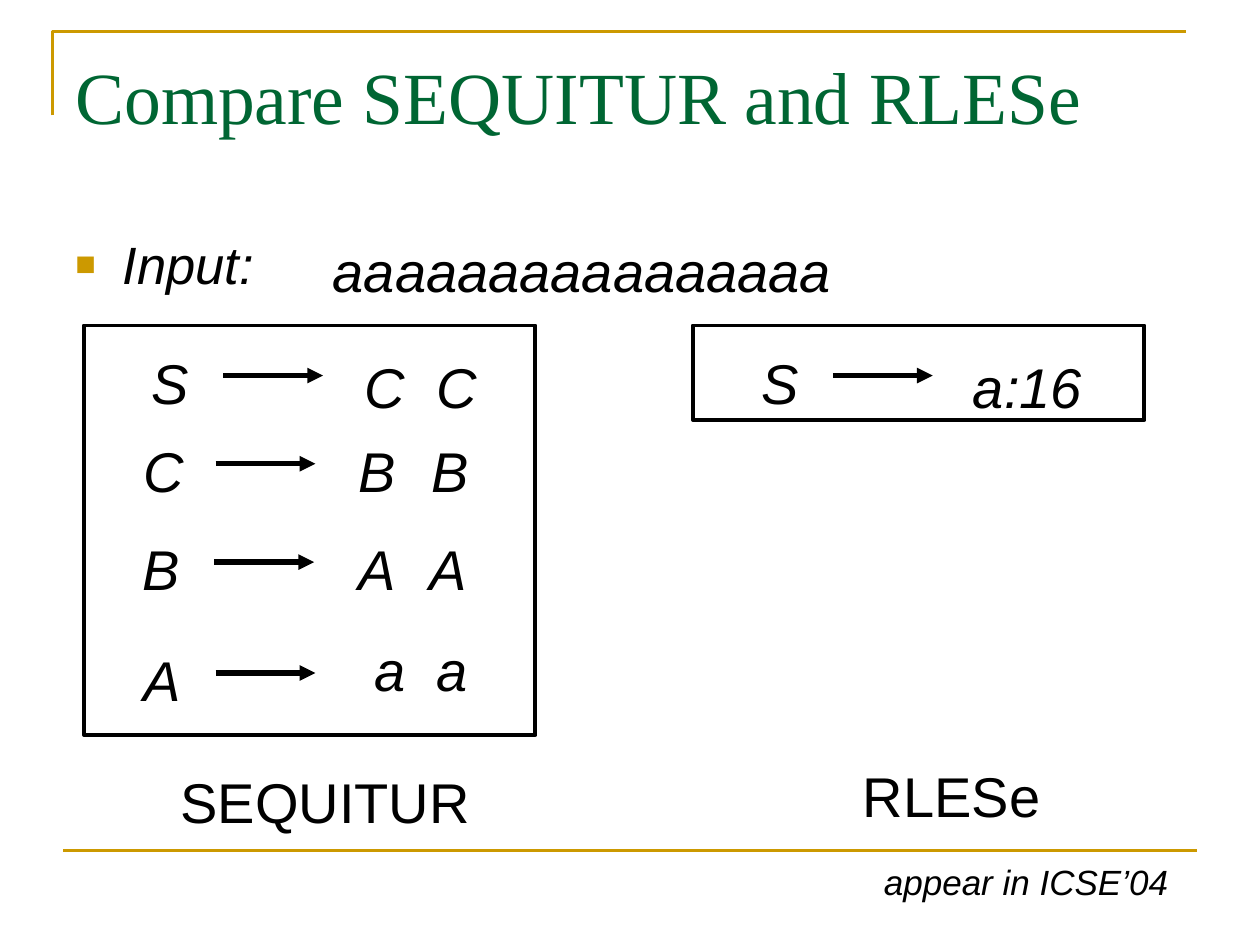
"""Builds a slide that compares the SEQUITUR and RLESe grammars of one input."""
from lxml.etree import SubElement
from pptx import Presentation
from pptx.dml.color import RGBColor
from pptx.enum.shapes import MSO_CONNECTOR as Connector, MSO_SHAPE as Shape
from pptx.oxml.ns import qn
from pptx.util import Pt

GOLD = RGBColor(0xCC, 0x99, 0x00)
GREEN = RGBColor(0x00, 0x66, 0x33)
BLACK = RGBColor(0x00, 0x00, 0x00)

SYMBOL_INSET = 16
SYMBOL_WIDTH = 48
LINE_HEIGHT = 46

SEQUITUR_RULES = [
    ("S", 70.6, 192.2, "C", (192.2, 233.2), 194.4),
    ("C", 66.2, 242.6, "B", (188.6, 230.4), 242.6),
    ("B", 65.5, 298.8, "A", (188.6, 229.7), 298.8),
    ("A", 66.2, 362.2, "a", (198, 233.6), 356.4),
]


def add_text(slide, text, left, top, width, height=LINE_HEIGHT, *, size=32,
             font="Arial", color=BLACK, italic=False, inset=7.2, bullet=None):
    box = slide.shapes.add_textbox(Pt(left), Pt(top), Pt(width), Pt(height))
    frame = box.text_frame
    frame.word_wrap = True
    frame.margin_left = Pt(inset)
    frame.margin_top = Pt(3.6 + size * 0.1)
    paragraph = frame.paragraphs[0]
    paragraph.text = text
    if bullet:
        add_bullet(paragraph, bullet)
    paragraph.font.size = Pt(size)
    paragraph.font.name = font
    paragraph.font.italic = italic
    paragraph.font.color.rgb = color


def add_bullet(paragraph, mark):
    properties = paragraph._p.get_or_add_pPr()
    properties.set("marL", str(Pt(27)))
    properties.set("indent", str(-Pt(27)))
    tint = SubElement(properties, qn("a:buClr"))
    SubElement(tint, qn("a:srgbClr"), val=str(GOLD))
    SubElement(properties, qn("a:buSzPct"), val="65000")
    SubElement(properties, qn("a:buFont"), typeface="Arial")
    SubElement(properties, qn("a:buChar"), char=mark)


def add_line(slide, left, top, length, color, weight, arrow=False):
    line = slide.shapes.add_connector(
        Connector.STRAIGHT, Pt(left), Pt(top), Pt(left + length), Pt(top))
    line.line.color.rgb = color
    line.line.width = Pt(weight)
    if arrow:
        SubElement(line.line._get_or_add_ln(), qn("a:tailEnd"), type="triangle")
    SubElement(line._element.spPr, qn("a:effectLst"))


def style_outline(shape, color, weight):
    shape.shadow.inherit = False
    shape.fill.background()
    shape.line.color.rgb = color
    shape.line.width = Pt(weight)


def add_frame(slide, left, top, width, height):
    frame = slide.shapes.add_shape(
        Shape.RECTANGLE, Pt(left), Pt(top), Pt(width), Pt(height))
    style_outline(frame, BLACK, 2.25)


def add_corner(slide, left, top, width, height):
    outline = slide.shapes.build_freeform(Pt(left), Pt(top + height))
    outline.add_line_segments(
        [(Pt(left), Pt(top)), (Pt(left + width), Pt(top))], close=False)
    style_outline(outline.convert_to_shape(), GOLD, 1.5)


def add_symbol(slide, symbol, left, top, width=SYMBOL_WIDTH):
    add_text(slide, symbol, left, top, width, italic=True, inset=SYMBOL_INSET)


def add_rule_head(slide, symbol, left, top):
    add_symbol(slide, symbol, left, top)
    add_line(slide, left + 57, top + 22.4, 57, BLACK, 3, arrow=True)


def main():
    deck = Presentation()
    deck.slide_width, deck.slide_height = Pt(720), Pt(540)
    slide = deck.slides.add_slide(deck.slide_layouts[6])

    add_corner(slide, 30, 18, 648, 48)
    add_line(slide, 36, 486, 648, GOLD, 1.5)
    add_text(slide, "Compare SEQUITUR and RLESe", 36, 21.6, 648, 90,
             size=42, font="Times New Roman", color=GREEN)
    add_text(slide, "Input:", 36, 126, 131, 53, size=30, italic=True, bullet="■")
    add_symbol(slide, "aaaaaaaaaaaaaaaa", 174.2, 128.2, 336)

    add_frame(slide, 48, 186, 258, 234)
    for head, left, top, part, part_lefts, part_top in SEQUITUR_RULES:
        add_rule_head(slide, head, left, top)
        for part_left in part_lefts:
            add_symbol(slide, part, part_left, part_top)
    add_text(slide, "SEQUITUR", 96, 432, 180)

    add_frame(slide, 396, 186, 258, 54)
    add_rule_head(slide, "S", 419, 192.2)
    add_symbol(slide, "a:16", 540, 194.4, 114)
    add_text(slide, "RLESe", 486, 428.4, 144)

    add_text(slide, "appear in ICSE’04", 498, 486, 192, 32, size=20, italic=True)
    deck.save("out.pptx")


if __name__ == "__main__":
    main()
